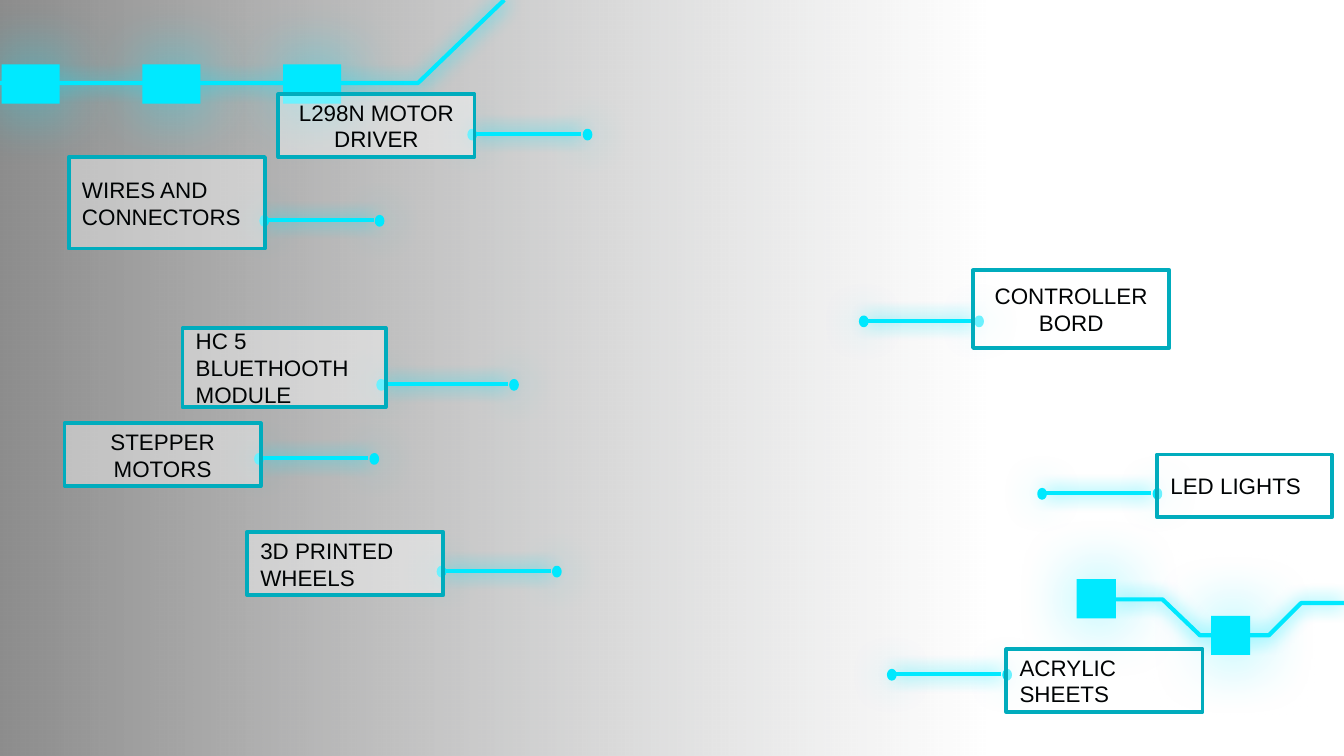
from lxml import etree
from pptx import Presentation
from pptx.dml.color import RGBColor
from pptx.enum.shapes import MSO_CONNECTOR, MSO_SHAPE
from pptx.enum.text import MSO_ANCHOR, PP_ALIGN
from pptx.oxml.ns import qn
from pptx.util import Cm, Pt

RECT, OVAL = MSO_SHAPE.RECTANGLE, MSO_SHAPE.OVAL
STRAIGHT = MSO_CONNECTOR.STRAIGHT
MIDDLE = MSO_ANCHOR.MIDDLE
LEFT, CENTER = PP_ALIGN.LEFT, PP_ALIGN.CENTER
CYAN, TEAL, WHITE, INK = "00E9FF", "00ACBD", "FFFFFF", "000304"
rgb = RGBColor.from_string


def set_alpha(clr, percent):
    etree.SubElement(clr, qn("a:alpha")).set("val", str(percent * 1000))


def add_glow(sp, blur, percent=100, dist=0):
    effects = etree.SubElement(sp._element.spPr, qn("a:effectLst"))
    shadow = etree.SubElement(effects, qn("a:outerShdw"), blurRad=str(Pt(blur)),
                              dist=str(Pt(dist)), dir="0", algn="ctr", rotWithShape="0")
    clr = etree.SubElement(shadow, qn("a:srgbClr"), val=CYAN)
    set_alpha(clr, percent)


prs = Presentation()
prs.slide_width, prs.slide_height = Cm(25.4), Cm(14.29)
s = prs.slides.add_slide(prs.slide_layouts[6])
s.background.fill.solid()
s.background.fill.fore_color.rgb = rgb(WHITE)

shade = s.shapes.add_shape(RECT, 0, 0, Cm(18.72), prs.slide_height)
shade.shadow.inherit = False
shade.line.fill.background()
shade.fill.gradient()
shade.fill.gradient_angle = 0
for stop, color, position in zip(shade.fill.gradient_stops, ("000000", "3D3E40"), (0, 1)):
    stop.color.rgb = rgb(color)
    stop.position = position
for clr, percent in zip(shade._element.spPr.iter(qn("a:srgbClr")), (45, 0)):
    set_alpha(clr, percent)

traces = [
    [(0, 1.57), (7.9, 1.57), (9.53, 0)],
    [(21.08, 11.33), (21.97, 11.33), (22.68, 12.01), (23.98, 12.01), (24.59, 11.4), (25.4, 11.4)],
]
for trace in traces:
    points = [(Cm(x), Cm(y)) for x, y in trace]
    builder = s.shapes.build_freeform(*points[0])
    builder.add_line_segments(points[1:], close=False)
    sp = builder.convert_to_shape()
    sp.fill.background()
    sp.line.color.rgb = rgb(CYAN)
    sp.line.width = Pt(2.25)
    add_glow(sp, 10.1)

blocks = [(0.03 + 2.66 * i, 1.22, 1.1, 0.74) for i in range(3)]
blocks += [(20.35, 10.95, 0.74, 0.74), (22.89, 11.64, 0.74, 0.74)]
for block in blocks:
    sp = s.shapes.add_shape(RECT, *map(Cm, block))
    sp.fill.solid()
    sp.fill.fore_color.rgb = rgb(CYAN)
    sp.line.fill.background()
    add_glow(sp, 36, 70, 1.5)

parts = [
    ("HC 5 BLUETHOOTH MODULE", LEFT, (3.45, 6.2, 3.84, 1.5), (7.14, 7.19), 2.51),
    ("3D PRINTED WHEELS", LEFT, (4.67, 10.06, 3.71, 1.19), (8.28, 10.72), 2.18),
    ("STEPPER MOTORS", CENTER, (1.22, 8, 3.71, 1.19), (4.83, 8.59), 2.18),
    ("LED LIGHTS", LEFT, (21.87, 8.59, 3.3, 1.19), (19.63, 9.25), 2.18),
    ("L298N MOTOR DRIVER", CENTER, (5.26, 1.78, 3.71, 1.19), (8.86, 2.46), 2.18),
    ("CONTROLLER BORD", CENTER, (18.39, 5.11, 3.71, 1.47), (16.26, 5.99), 2.18),
    ("ACRYLIC SHEETS", LEFT, (19.02, 12.27, 3.71, 1.19), (16.79, 12.67), 2.18),
    ("WIRES AND CONNECTORS", LEFT, (1.3, 2.97, 3.71, 1.73), (4.93, 4.09), 2.18),
]
for text, align, box, (x, y), gap in parts:
    for dot_x in (x, x + gap):
        dot = s.shapes.add_shape(OVAL, Cm(dot_x), Cm(y), Cm(0.13), Cm(0.17))
        dot.fill.solid()
        dot.fill.fore_color.rgb = rgb(CYAN)
        dot.line.color.rgb = rgb(CYAN)
        dot.line.width = Pt(1.5)
        add_glow(dot, 22.5)

    lead = s.shapes.add_connector(STRAIGHT, Cm(x + 0.1), Cm(y + 0.07), Cm(x + gap - 0.05), Cm(y + 0.07))
    lead.line.color.rgb = rgb(CYAN)
    lead.line.width = Pt(2.25)
    add_glow(lead, 10.1)

    label = s.shapes.add_shape(RECT, *map(Cm, box))
    label.shadow.inherit = False
    label.fill.solid()
    label.fill.fore_color.rgb = rgb(WHITE)
    set_alpha(label._element.spPr.find(qn("a:solidFill"))[0], 42)
    label.line.color.rgb = rgb(TEAL)
    label.line.width = Pt(2)
    tf = label.text_frame
    tf.word_wrap = True
    tf.vertical_anchor = MIDDLE
    p = tf.paragraphs[0]
    p.text = text
    p.alignment = align
    p.font.name = "Arial"
    p.font.size = Pt(12)
    p.font.color.rgb = rgb(INK)

prs.save("out.pptx")
